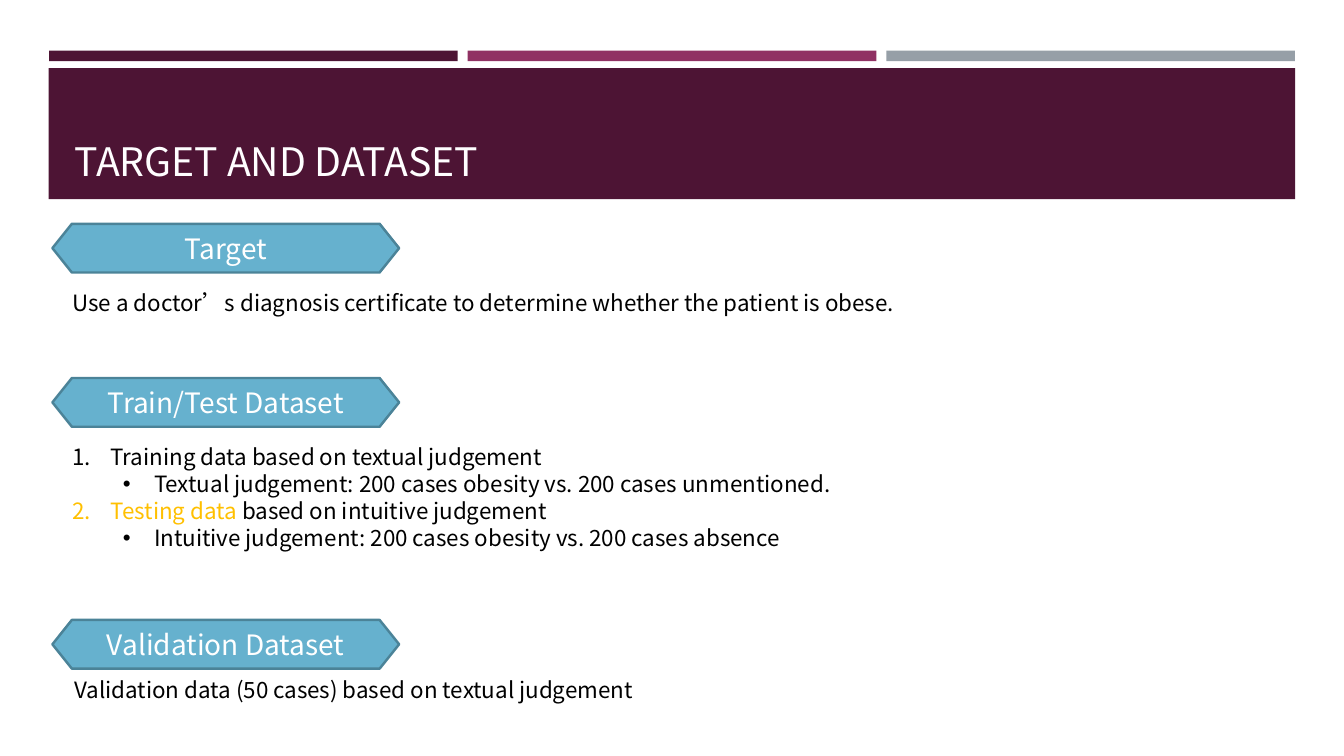
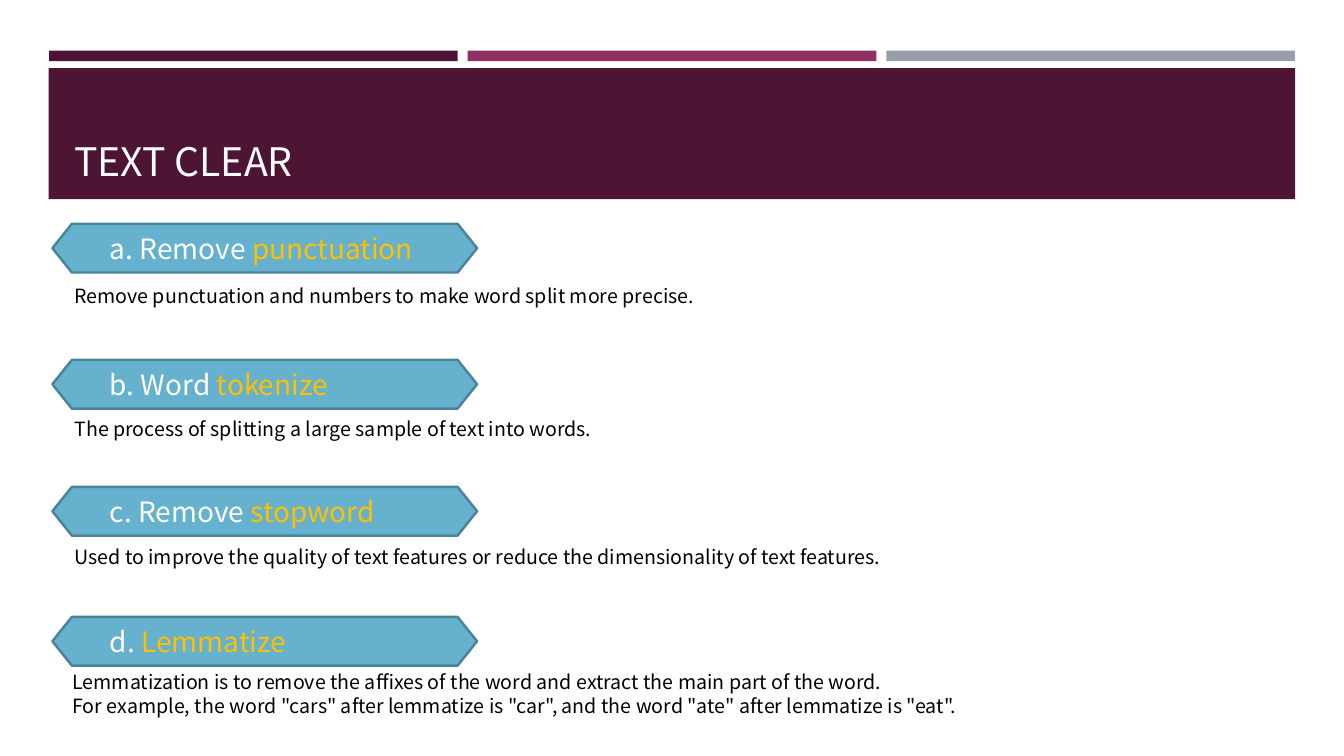
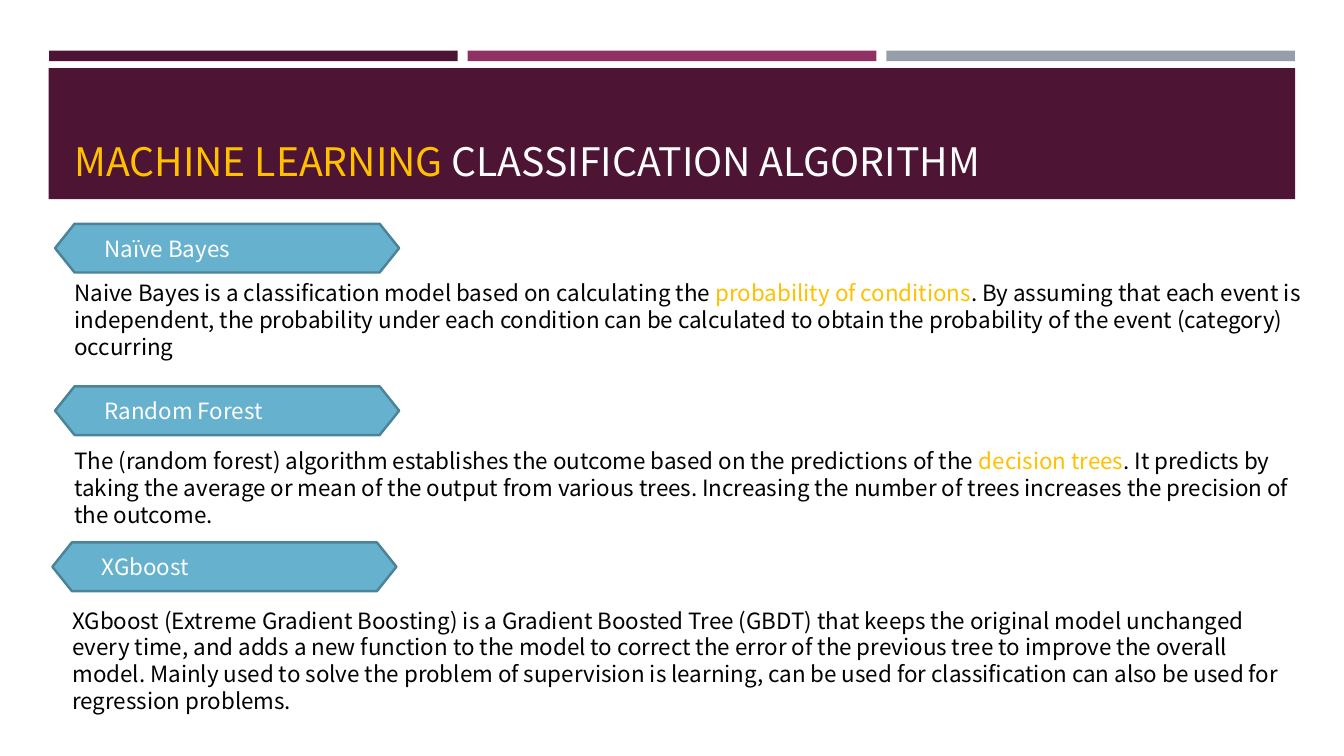
from dataclasses import dataclass

from lxml.etree import SubElement
from pptx import Presentation
from pptx.dml.color import RGBColor
from pptx.enum.shapes import MSO_SHAPE as Preset
from pptx.enum.text import MSO_ANCHOR as Anchor, PP_ALIGN as Align
from pptx.oxml.ns import qn
from pptx.util import Inches, Pt


@dataclass(frozen=True)
class Theme:
    font: str = "Noto Sans CJK TC"
    plum: str = "4D1434"
    magenta: str = "903163"
    grey: str = "969FA7"
    sky: str = "66B1CE"
    sky_edge: str = "4B8398"
    accent: str = "FFC000"
    ink: str = "000000"
    white: str = "FFFFFF"
    title_ink: str = "FFFEFF"
    title_size: int = 28
    label_size: int = 20
    body_size: int = 16
    small_size: int = 14
    edge_width: float = 1.75
    leading: float = 1.2


THEME = Theme()
WIDTH, HEIGHT = Inches(13.33), Inches(7.5)
COLUMN, ROW = WIDTH / 100, HEIGHT / 100
TAG_HEIGHT = 6.45
LIST_STYLES = {
    "number": (0.38, -0.38, "a:buAutoNum", {"type": "arabicPeriod"}),
    "bullet": (0.81, -0.31, "a:buChar", {"char": "•"}),
}


def place(left, top, width, height):
    return int(left * COLUMN), int(top * ROW), int(width * COLUMN), int(height * ROW)


def rgb(code):
    return RGBColor.from_string(code)


def add_panel(shapes, preset, area, fill, edge=None):
    panel = shapes.add_shape(preset, *place(*area))
    panel.shadow.inherit = False
    panel.fill.solid()
    panel.fill.fore_color.rgb = rgb(fill)
    if edge:
        panel.line.color.rgb = rgb(edge)
        panel.line.width = Pt(THEME.edge_width)
    else:
        panel.line.fill.background()
    return panel


def mark_list_item(paragraph, style):
    margin, indent, tag, attributes = LIST_STYLES[style]
    properties = paragraph._p.get_or_add_pPr()
    properties.set("marL", str(Inches(margin)))
    properties.set("indent", str(Inches(indent)))
    if style == "bullet":
        paragraph.level = 1
        SubElement(properties, qn("a:buFont"), typeface="Arial")
    SubElement(properties, qn(tag), attributes)


def add_text(shapes, area, *lines, size=THEME.body_size, color=THEME.ink,
             align=Align.LEFT, anchor=Anchor.TOP, margins=(0.1, 0.05), styles=()):
    box = shapes.add_textbox(*place(*area))
    frame = box.text_frame
    frame.word_wrap = True
    frame.vertical_anchor = anchor
    frame.margin_left = frame.margin_right = Inches(margins[0])
    frame.margin_top = frame.margin_bottom = Inches(margins[1])
    for index, line in enumerate(lines):
        paragraph = frame.add_paragraph() if index else frame.paragraphs[0]
        paragraph.alignment = align
        paragraph.line_spacing = Pt(THEME.leading * size)
        if styles:
            mark_list_item(paragraph, styles[index])
        for part, words in enumerate(line.split("*")):
            if words:
                run = paragraph.add_run()
                run.text = words
                run.font.name = THEME.font
                run.font.size = Pt(size)
                run.font.color.rgb = rgb(THEME.accent if part % 2 else color)


def add_tag(slide, label, left, top, width, inset=2.7, size=THEME.label_size,
            align=Align.LEFT):
    tag = slide.shapes.add_group_shape().shapes
    hexagon = add_panel(tag, Preset.HEXAGON, (left, top, width, TAG_HEIGHT),
                        THEME.sky, THEME.sky_edge)
    hexagon.adjustments[0] = 0.4
    add_text(tag, (left + inset, top + 0.7, width - 2 * inset, TAG_HEIGHT - 1.4),
             label, size=size, color=THEME.white, align=align,
             anchor=Anchor.MIDDLE, margins=(0.13, 0))


def add_titled_slide(deck, title):
    slide = deck.slides.add_slide(deck.slide_layouts[6])
    for index, color in enumerate((THEME.plum, THEME.magenta, THEME.grey)):
        add_panel(slide.shapes, Preset.RECTANGLE,
                  (3.65 + 31.15 * index, 6.7, 30.4, 1.4), color)
    add_panel(slide.shapes, Preset.RECTANGLE, (3.62, 9, 92.75, 17.35), THEME.plum)
    add_text(slide.shapes, (4.8, 10.3, 90.45, 14.8), title, size=THEME.title_size,
             color=THEME.title_ink, anchor=Anchor.BOTTOM)
    return slide


def build_dataset_slide(deck):
    slide = add_titled_slide(deck, "TARGET AND DATASET")
    for label, top in (("Target", 29.6), ("Train/Test Dataset", 50),
                       ("Validation Dataset", 82)):
        add_tag(slide, label, 3.9, top, 25.8, align=Align.CENTER)
    add_text(slide.shapes, (4.65, 37.6, 79, 4.9),
             "Use a doctor’s diagnosis certificate to determine whether the patient is obese.")
    add_text(slide.shapes, (4.65, 58, 72, 15.7),
             "Training data based on textual judgement",
             "Textual judgement: 200 cases obesity vs. 200 cases unmentioned.",
             "*Testing data *based on intuitive judgement",
             "Intuitive judgement: 200 cases obesity vs. 200 cases absence",
             styles=("number", "bullet") * 2)
    add_text(slide.shapes, (4.8, 88.8, 44, 4.9),
             "Validation data (50 cases) based on textual judgement")


def build_cleaning_slide(deck):
    slide = add_titled_slide(deck, "TEXT CLEAR")
    steps = (
        ("a. Remove *punctuation*", 29.6, (4.8, 36.95, 79, 4.5),
         ("Remove punctuation and numbers to make word split more precise.",)),
        ("b. Word *tokenize*", 47.6, (4.8, 54.55, 45, 4.5),
         ("The process of splitting a large sample of text into words.",)),
        ("c. Remove *stopword*", 64.4, (4.8, 71.45, 92, 4.5),
         ("Used to improve the quality of text features or reduce the "
          "dimensionality of text features.",)),
        ("d. *Lemmatize*", 81.6, (4.65, 88, 92, 7.6),
         ("Lemmatization is to remove the affixes of the word and extract the "
          "main part of the word.",
          'For example, the word "cars" after lemmatize is "car", and the word '
          '"ate" after lemmatize is "eat".')),
    )
    for label, top, area, lines in steps:
        add_tag(slide, label, 3.9, top, 31.6, inset=3.3)
        add_text(slide.shapes, area, *lines, size=THEME.small_size)


def build_algorithm_slide(deck):
    slide = add_titled_slide(deck, "*MACHINE LEARNING *CLASSIFICATION ALGORITHM")
    algorithms = (
        ("Naïve Bayes", 4.1, 29.6, (4.8, 36.25, 92.95, 12.15),
         "Naive Bayes is a classification model based on calculating the "
         "*probability of conditions*. By assuming that each event is independent, "
         "the probability under each condition can be calculated to obtain the "
         "probability of the event (category) occurring"),
        ("Random Forest", 4.1, 51.1, (4.8, 58.55, 92.95, 12.15),
         "The (random forest) algorithm establishes the outcome based on the "
         "predictions of the *decision trees*. It predicts by taking the average or "
         "mean of the output from various trees. Increasing the number of trees "
         "increases the precision of the outcome."),
        ("XGboost", 3.9, 71.75, (4.65, 79.6, 93.1, 15.75),
         "XGboost (Extreme Gradient Boosting) is a Gradient Boosted Tree (GBDT) that "
         "keeps the original model unchanged every time, and adds a new function to "
         "the model to correct the error of the previous tree to improve the overall "
         "model. Mainly used to solve the problem of supervision is learning, can be "
         "used for classification can also be used for regression problems."),
    )
    for label, left, top, area, description in algorithms:
        add_tag(slide, label, left, top, 25.6, size=THEME.body_size)
        add_text(slide.shapes, area, description)


def main():
    deck = Presentation()
    deck.slide_width, deck.slide_height = WIDTH, HEIGHT
    build_dataset_slide(deck)
    build_cleaning_slide(deck)
    build_algorithm_slide(deck)
    deck.save("out.pptx")


if __name__ == "__main__":
    main()
